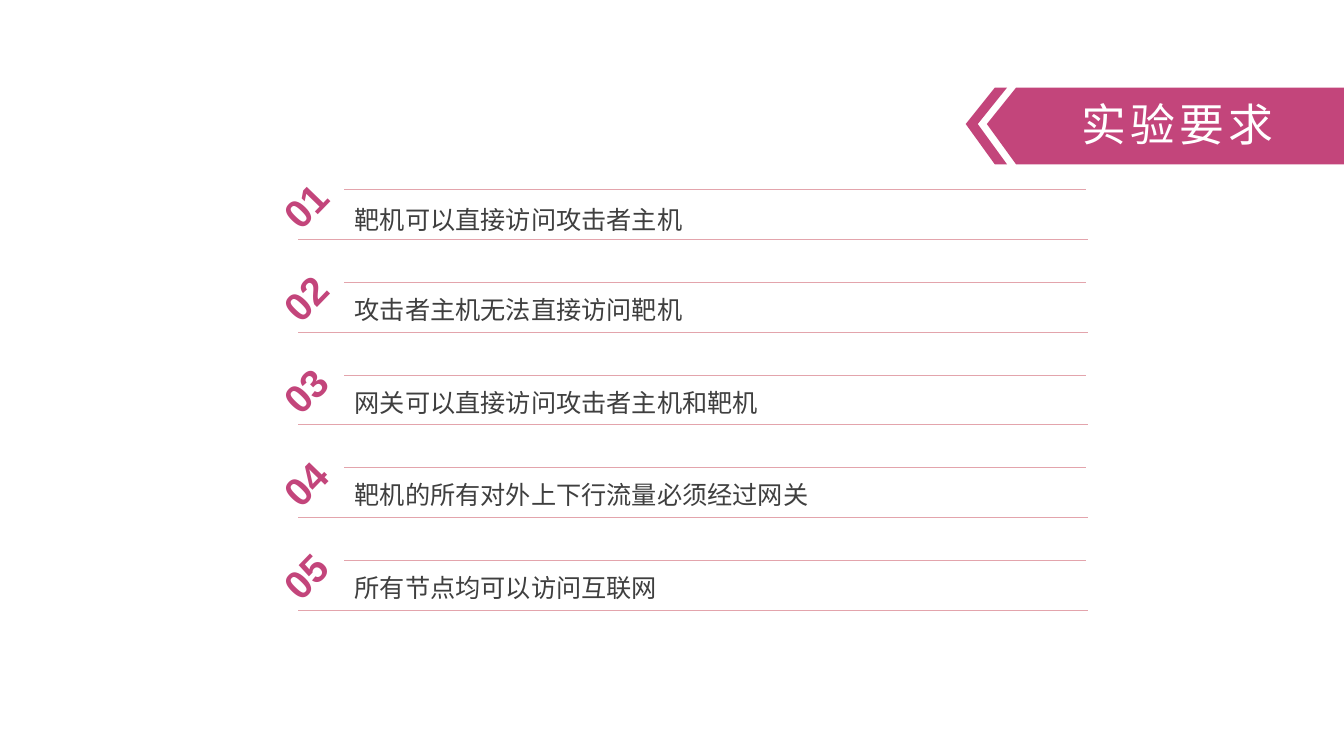
"""Build the slide of experiment requirements: a title ribbon and five numbered rows."""
from dataclasses import dataclass

from lxml import etree
from pptx import Presentation
from pptx.dml.color import RGBColor
from pptx.enum import shapes, text
from pptx.oxml import ns
from pptx.util import Pt


@dataclass(frozen=True)
class Theme:
    """Colours, font and type sizes of the slide."""
    accent: str = "C3457B"
    rule: str = "E3A4AC"
    ink: str = "3F3F3F"
    white: str = "FFFFFF"
    font: str = "Arial"
    title_size: int = 32
    number_size: int = 28
    body_size: int = 18


THEME = Theme()
ROW_TOP, ROW_PITCH, ROW_HEIGHT = 135.4, 66.2, 35.5
RIBBON_TOP, RIBBON_TIP, RIBBON_BOTTOM = 62.6, 88.6, 117.4
REQUIREMENTS = [
    ("靶机可以直接访问攻击者主机", 1.3),
    ("攻击者主机无法直接访问靶机", 1.2),
    ("网关可以直接访问攻击者主机和靶机", 1.2),
    ("靶机的所有对外上下行流量必须经过网关", 1.2),
    ("所有节点均可以访问互联网", 1.2),
]


def set_attrs(obj, values):
    """Set each named value on an object."""
    for name, value in values.items():
        setattr(obj, name, value)


def write(sp, content, size, color, frame, para, bold=False, spacing=None):
    """Write one formatted paragraph into a shape."""
    tf = sp.text_frame
    set_attrs(tf, {"word_wrap": True, **frame})
    p = tf.paragraphs[0]
    set_attrs(p, para)
    r = p.add_run()
    r.text = content
    set_attrs(r.font, {"name": THEME.font, "size": Pt(size), "bold": bold})
    r.font.color.rgb = RGBColor.from_string(color)
    if spacing is not None:
        r._r.get_or_add_rPr().set("spc", str(spacing * 100))


def margins(left, top, right, bottom):
    """Return text frame margins given in points."""
    return {"margin_left": Pt(left), "margin_top": Pt(top),
            "margin_right": Pt(right), "margin_bottom": Pt(bottom)}


def add_rule(parent, left, right, y):
    """Draw a thin horizontal rule."""
    cx = parent.add_connector(shapes.MSO_CONNECTOR.STRAIGHT, Pt(left), Pt(y), Pt(right), Pt(y))
    cx.line.width = Pt(0.5)
    cx.line.color.rgb = RGBColor.from_string(THEME.rule)
    etree.SubElement(cx._element.spPr, ns.qn("a:effectLst"))


def add_requirement(slide, index, content, line_spacing):
    """Add a grouped row with two rules, a tilted number and its requirement."""
    y = ROW_TOP + index * ROW_PITCH
    row = slide.shapes.add_group_shape().shapes
    add_rule(row, 213, 777, y + ROW_HEIGHT)
    add_rule(row, 246, 775.5, y)
    number = row.add_textbox(Pt(187.2), Pt(y - 8), Pt(61.2), Pt(38.2))
    number.rotation = 314.1
    write(number, f"{index + 1:02d}", THEME.number_size, THEME.accent,
          {"vertical_anchor": text.MSO_ANCHOR.MIDDLE, **margins(0, 0, 0, 0)},
          {"alignment": text.PP_ALIGN.CENTER}, bold=True)
    body = row.add_textbox(Pt(231.8), Pt(y + 0.7), Pt(519.1), Pt(35.3))
    write(body, content, THEME.body_size, THEME.ink,
          margins(21.6, 3.6, 7.2, 3.6), {"line_spacing": line_spacing})


def add_outline(slide, points):
    """Add a closed accent-coloured outline through the points."""
    start, *rest = [(Pt(x), Pt(y)) for x, y in points]
    builder = slide.shapes.build_freeform(*start)
    builder.add_line_segments(rest, close=True)
    sp = builder.convert_to_shape()
    sp.shadow.inherit = False
    sp.fill.solid()
    sp.fill.fore_color.rgb = RGBColor.from_string(THEME.accent)
    sp.line.fill.background()
    return sp


def add_title(slide, content):
    """Add the title ribbon and the chevron before it."""
    ribbon = add_outline(slide, [(725.8, RIBBON_TOP), (960, RIBBON_TOP), (960, RIBBON_BOTTOM),
                                 (725.8, RIBBON_BOTTOM), (704.9, RIBBON_TIP)])
    write(ribbon, content, THEME.title_size, THEME.white,
          {"vertical_anchor": text.MSO_ANCHOR.MIDDLE, **margins(17.3, 0, 0, 2.9)},
          {"alignment": text.PP_ALIGN.CENTER}, spacing=3)
    add_outline(slide, [(710.6, RIBBON_TOP), (719.3, RIBBON_TOP), (698.4, RIBBON_TIP),
                        (719.3, RIBBON_BOTTOM), (710.6, RIBBON_BOTTOM), (689.8, RIBBON_TIP)])


def main():
    """Build and save the presentation."""
    prs = Presentation()
    set_attrs(prs, {"slide_width": Pt(960), "slide_height": Pt(540)})
    slide = prs.slides.add_slide(prs.slide_layouts[6])
    for index, (content, line_spacing) in enumerate(REQUIREMENTS):
        add_requirement(slide, index, content, line_spacing)
    add_title(slide, "实验要求")
    prs.save("out.pptx")


if __name__ == "__main__":
    main()
